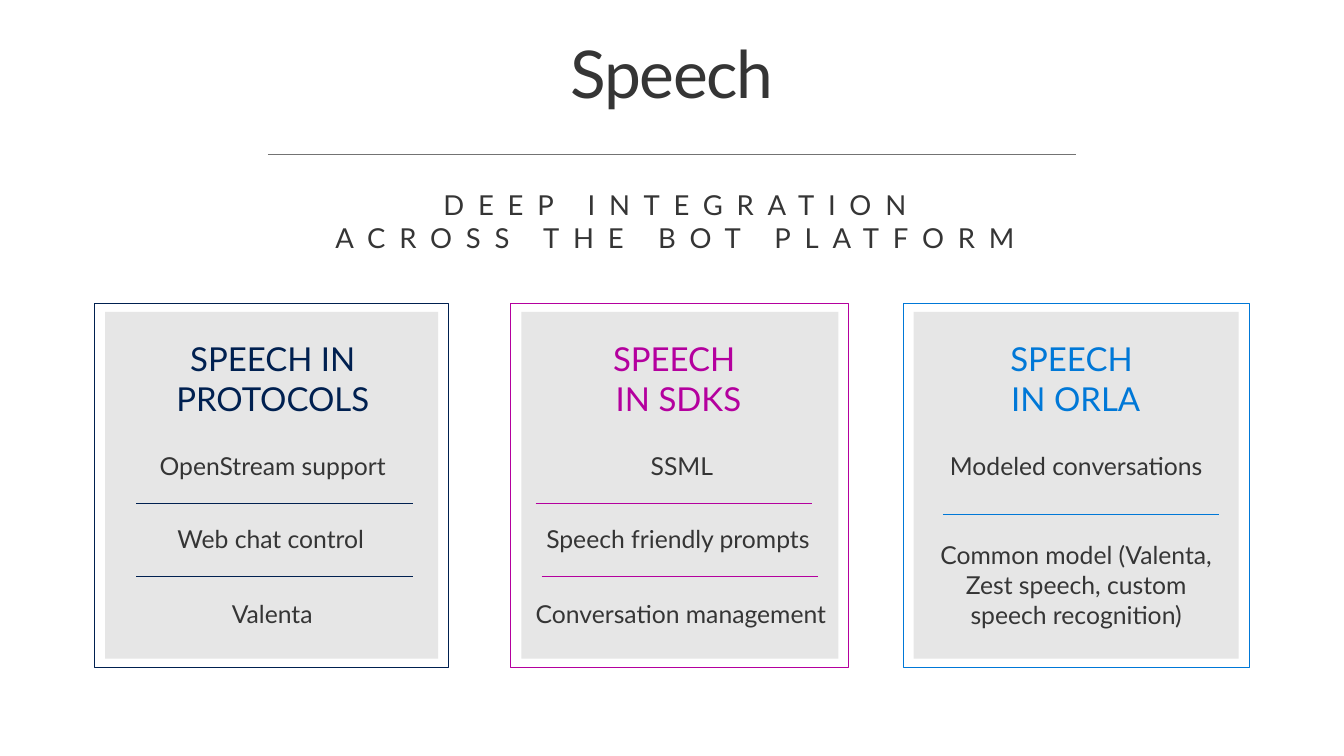
"""Build the Speech slide: a heading, a subtitle and three framed topic panels."""
from lxml import etree
from pptx import Presentation
from pptx.dml.color import RGBColor
from pptx.enum.shapes import MSO_CONNECTOR, MSO_SHAPE
from pptx.enum.text import MSO_ANCHOR, PP_ALIGN
from pptx.oxml.ns import qn
from pptx.util import Inches, Pt

RECTANGLE = MSO_SHAPE.RECTANGLE
STRAIGHT = MSO_CONNECTOR.STRAIGHT
MIDDLE, TOP = MSO_ANCHOR.MIDDLE, MSO_ANCHOR.TOP
CENTER = PP_ALIGN.CENTER

presentation = Presentation()
presentation.slide_width = Inches(13.6)
presentation.slide_height = Inches(7.65)
slide = presentation.slides.add_slide(presentation.slide_layouts[6])
COLUMN = presentation.slide_width / 136
ROW = presentation.slide_height / 76.5


def add_text(text, left, top, width, height, size=18, color="353535", anchor=MIDDLE,
             spacing=0, line_spacing=None, insets=(1, 0.5, 1, 0.5)):
    box = slide.shapes.add_textbox(round(left * COLUMN), round(top * ROW),
                                   round(width * COLUMN), round(height * ROW))
    frame = box.text_frame
    frame.word_wrap = True
    frame.vertical_anchor = anchor
    frame.margin_left, frame.margin_right = (round(inset * COLUMN) for inset in insets[::2])
    frame.margin_top, frame.margin_bottom = (round(inset * ROW) for inset in insets[1::2])
    frame.text = text
    for paragraph in frame.paragraphs:
        paragraph.alignment = CENTER
        paragraph.line_spacing = line_spacing
        for run in paragraph.runs:
            run.font.name = "Lato"
            run.font.size = Pt(size)
            run.font.color.rgb = RGBColor.from_string(color)
            if spacing:
                run.font._element.set("spc", str(spacing * 100))


def add_rule(left, top, length, color, weight):
    rule = slide.shapes.add_connector(STRAIGHT, round(left * COLUMN), round(top * ROW),
                                      round((left + length) * COLUMN), round(top * ROW))
    rule.line.color.rgb = RGBColor.from_string(color)
    rule.line.width = Pt(weight)
    etree.SubElement(rule._element.spPr, qn("a:effectLst"))


add_text("Speech", 3, 3.2, 130, 10, size=48, anchor=TOP, spacing=-1, line_spacing=0.9,
         insets=(1.6, 1, 1.6, 1))
add_rule(27.1, 15.6, 81.8, "737373", 0.75)
add_text("DEEP INTEGRATION\nACROSS THE BOT PLATFORM", 27, 15.9, 81.4, 12.9, size=20,
         spacing=10, insets=(2, 0.4, 0.8, 0.4))

# Each item holds its text, centre column and top row; each rule its left column and row.
panels = [
    {"heading": "SPEECH IN PROTOCOLS", "color": "002050", "left": 9.6, "width": 35.8,
     "center": 27.6,
     "items": [("OpenStream support", 27.6, 44), ("Web chat control", 27.4, 51.4),
               ("Valenta", 27.55, 58.9)],
     "rules": [(13.8, 50.9), (13.8, 58.3)]},
    {"heading": "SPEECH \vIN SDKS", "color": "B4009E", "left": 51.7, "width": 34.2,
     "center": 68.65,
     "items": [("SSML", 69, 44), ("Speech friendly prompts", 68.6, 51.4),
               ("Conversation management", 68.9, 58.9)],
     "rules": [(54.2, 50.9), (54.8, 58.3)]},
    {"heading": "SPEECH \vIN ORLA", "color": "0078D7", "left": 91.4, "width": 35,
     "center": 108.85,
     "items": [("Modeled conversations", 108.9, 44),
               ("Common model (Valenta, Zest speech, custom speech recognition)", 108.9, 56)],
     "rules": [(95.4, 52)]},
]
ITEM_WIDTH, ITEM_HEIGHT, RULE_LENGTH = 32.2, 6.3, 28

for panel in panels:
    for inset_x, inset_y, filled in ((1.05, 0.85, True), (0, 0, False)):
        shape = slide.shapes.add_shape(
            RECTANGLE,
            round((panel["left"] + inset_x) * COLUMN), round((30.7 + inset_y) * ROW),
            round((panel["width"] - 2 * inset_x) * COLUMN), round((36.8 - 2 * inset_y) * ROW))
        shape.shadow.inherit = False
        if filled:
            shape.fill.solid()
            shape.fill.fore_color.rgb = RGBColor.from_string("E6E6E6")
            shape.line.fill.background()
        else:
            shape.fill.background()
            shape.line.color.rgb = RGBColor.from_string(panel["color"])
            shape.line.width = Pt(0.75)
    for text, center, top in panel["items"]:
        add_text(text, center - ITEM_WIDTH / 2, top, ITEM_WIDTH, ITEM_HEIGHT)
    for left, top in panel["rules"]:
        add_rule(left, top, RULE_LENGTH, panel["color"], 0.25)
    add_text(panel["heading"], panel["center"] - ITEM_WIDTH / 2, 32.1, ITEM_WIDTH, 12.4,
             size=24, color=panel["color"])

presentation.save("out.pptx")
